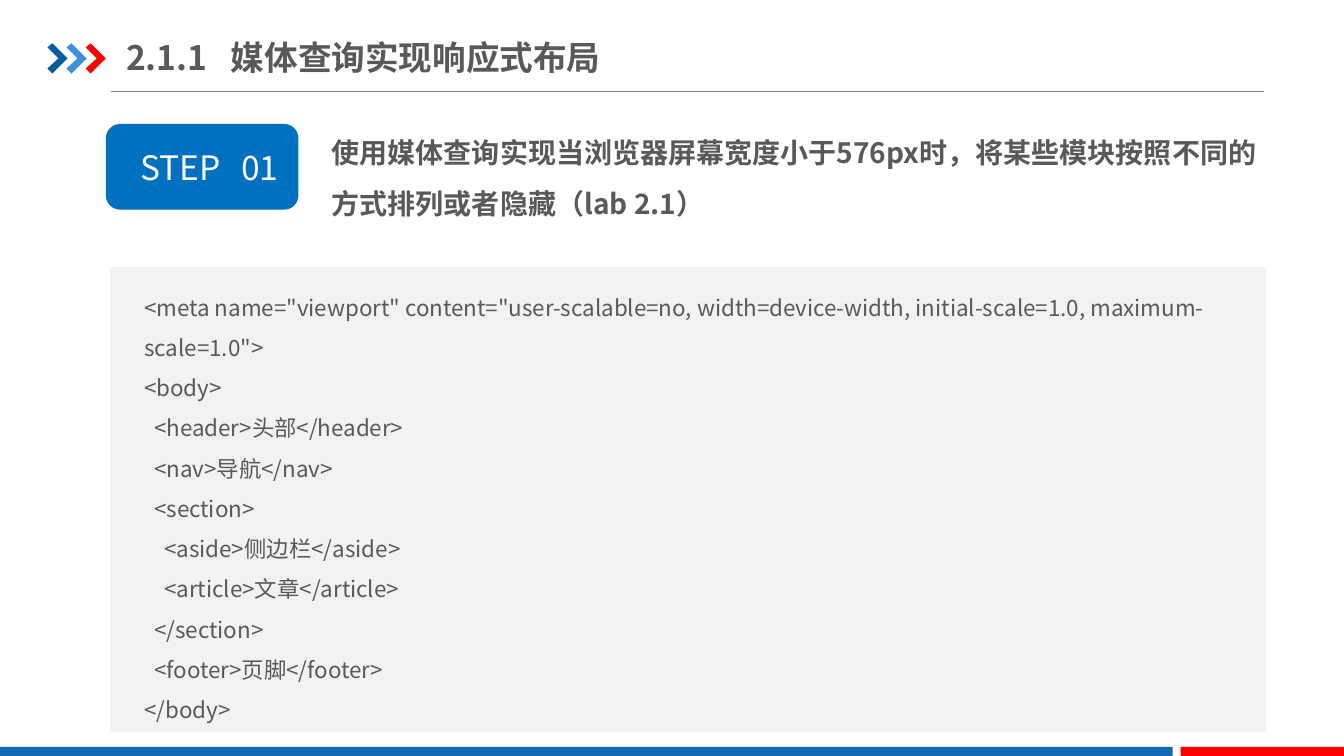
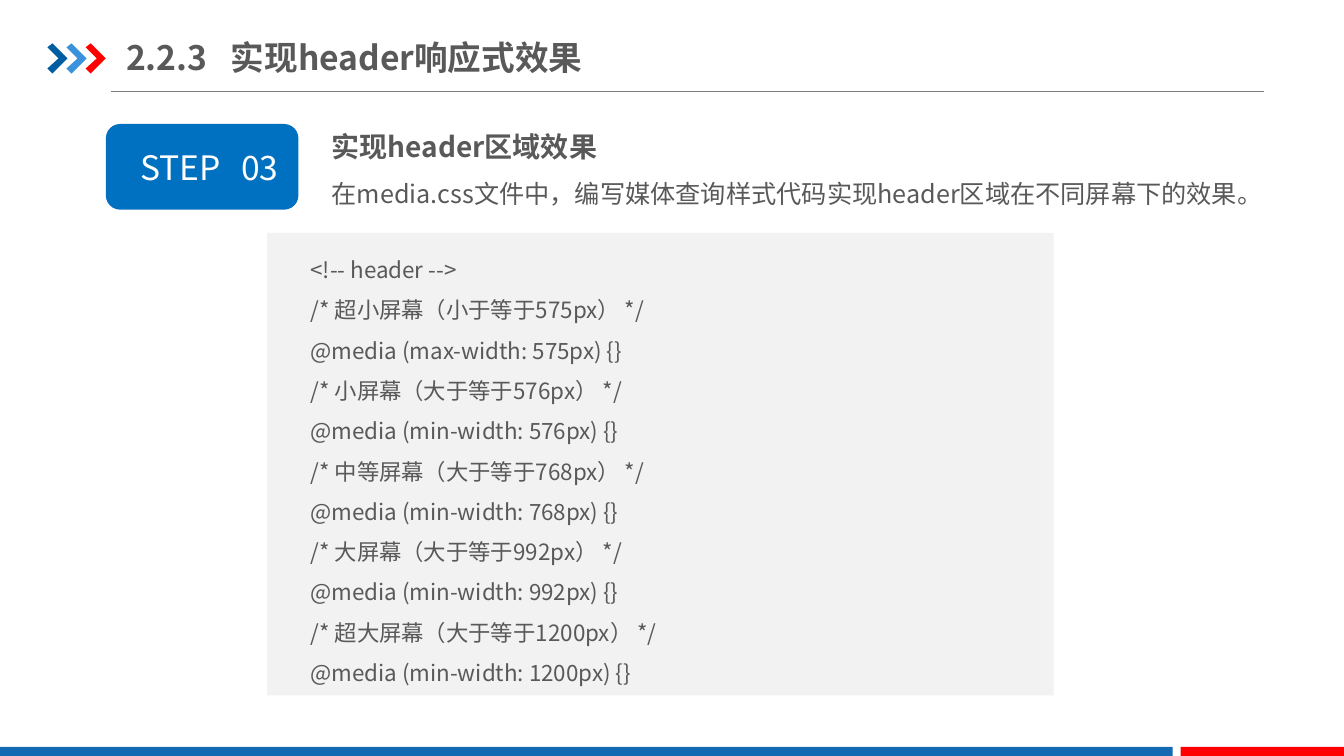
from lxml import etree
from pptx import Presentation
from pptx.dml.color import RGBColor
from pptx.enum import shapes, text
from pptx.oxml import ns
from pptx.util import Inches, Pt

FONT = "Noto Sans CJK SC"
GREY, WHITE, PANEL, STEP_BLUE = "595959", "FFFFFF", "F2F2F2", "0070C0"
RULE, BAND_BLUE, RED = "808080", "1369B2", "FF0000"
CHEVRONS = ["005DA2", "3992DB", RED]
CHEVRON_POINTS = [(0, 0.04), (0.05, 0), (0.2, 0.15), (0.05, 0.3), (0, 0.25), (0.11, 0.15)]

# Content: each intro line is (text, size, bold); boxes are left, top, width, height
SLIDES = [
    {
        "title": ("2.1.1", "媒体查询实现响应式布局"),
        "step": "01",
        "intro": [("使用媒体查询实现当浏览器屏幕宽度小于576px时，"
                   "将某些模块按照不同的方式排列或者隐藏（lab 2.1）", 20, True)],
        "intro_top": 1.13,
        "panel": (1.09, 2.65, 11.47, 4.61),
        "insets": (0.34, 0.13),
        "code": [
            '<meta name="viewport" content="user-scalable=no, width=device-width, '
            'initial-scale=1.0, maximum-scale=1.0">',
            "<body>",
            "  <header>头部</header>",
            "  <nav>导航</nav>",
            "  <section>",
            "    <aside>侧边栏</aside>",
            "    <article>文章</article>",
            "  </section>",
            "  <footer>页脚</footer>",
            "</body>",
        ],
    },
    {
        "title": ("2.2.3", "实现header响应式效果"),
        "step": "03",
        "intro": [("实现header区域效果", 20, True),
                  ("在media.css文件中，编写媒体查询样式代码实现header区域在不同屏幕下的效果。", 18, False)],
        "intro_top": 1.07,
        "panel": (2.65, 2.31, 7.8, 4.59),
        "insets": (0.43, 0.1),
        "code": [
            "<!-- header -->",
            "/* 超小屏幕（小于等于575px） */",
            "@media (max-width: 575px) {}",
            "/* 小屏幕（大于等于576px） */",
            "@media (min-width: 576px) {}",
            "/* 中等屏幕（大于等于768px） */",
            "@media (min-width: 768px) {}",
            "/* 大屏幕（大于等于992px） */",
            "@media (min-width: 992px) {}",
            "/* 超大屏幕（大于等于1200px） */",
            "@media (min-width: 1200px) {}",
        ],
    },
]


def color(value):
    return RGBColor.from_string(value)


def place(shape, left, top, width, height):
    shape.left, shape.top = Inches(left), Inches(top)
    shape.width, shape.height = Inches(width), Inches(height)


def paint(shape, fill):
    shape.shadow.inherit = False
    shape.fill.solid()
    shape.fill.fore_color.rgb = color(fill)
    shape.line.fill.background()
    return shape


def add_box(slide, kind, box, fill):
    return paint(slide.shapes.add_shape(kind, *map(Inches, box)), fill)


def set_frame(shape, anchor, left=0.1, top=0.05, right=0.1, bottom=0.05):
    frame = shape.text_frame
    frame.word_wrap = True
    frame.auto_size = text.MSO_AUTO_SIZE.NONE
    frame.vertical_anchor = anchor
    frame.margin_left, frame.margin_top = Inches(left), Inches(top)
    frame.margin_right, frame.margin_bottom = Inches(right), Inches(bottom)
    return frame


def add_run(paragraph, content, size, fill, bold=False):
    run = paragraph.add_run()
    run.text = content
    run.font.size, run.font.bold = Pt(size), bold
    run.font.color.rgb = color(fill)
    run.font.name = FONT
    properties = run.font._element
    etree.SubElement(properties, ns.qn("a:ea"), typeface=FONT)


def write_lines(frame, lines, fill=GREY):
    for index, (content, size, bold) in enumerate(lines):
        paragraph = frame.add_paragraph() if index else frame.paragraphs[0]
        properties = paragraph._p.get_or_add_pPr()
        properties.set("marL", "0")
        properties.set("indent", "0")
        etree.SubElement(properties, ns.qn("a:buNone"))
        paragraph.alignment = text.PP_ALIGN.LEFT
        paragraph.line_spacing = 1.5
        paragraph.space_before = Pt(0)
        add_run(paragraph, content, size, fill, bold)


def write_tabbed(frame, parts, tab, size, fill, bold=False):
    paragraph = frame.paragraphs[0]
    paragraph.alignment = text.PP_ALIGN.LEFT
    tabs = etree.SubElement(paragraph._p.get_or_add_pPr(), ns.qn("a:tabLst"))
    etree.SubElement(tabs, ns.qn("a:tab"), pos=str(Inches(tab)), algn="l")
    add_run(paragraph, "\t".join(parts), size, fill, bold)


def style_layout(slide, layout):
    """Draw the shared decoration and move it to the layout."""
    # Title rule
    rule = slide.shapes.add_connector(
        shapes.MSO_CONNECTOR.STRAIGHT, *map(Inches, (1.1, 0.91, 12.54, 0.91)))
    rule.line.color.rgb = color(RULE)
    rule.line.width = Pt(0.75)
    etree.SubElement(rule._element.spPr, ns.qn("a:effectLst"))
    parts = [rule]

    # Chevrons
    for index, fill in enumerate(CHEVRONS):
        points = [(Inches(0.47 + 0.19 * index + x), Inches(0.43 + y))
                  for x, y in CHEVRON_POINTS]
        builder = slide.shapes.build_freeform(*points[0])
        builder.add_line_segments(points[1:], close=True)
        parts.append(paint(builder.convert_to_shape(), fill))

    # Footer bands
    for left, width, fill in [(0, 11.63, BAND_BLUE), (11.71, 1.62, RED)]:
        parts.append(add_box(slide, shapes.MSO_SHAPE.RECTANGLE,
                             (left, 7.41, width, 0.09), fill))

    for part in parts:
        layout.shapes._spTree.append(part._element)


def fill_slide(slide, content):
    # Title
    title = slide.shapes.title
    place(title, 1.25, 0.29, 6.05, 0.55)
    frame = set_frame(title, text.MSO_ANCHOR.MIDDLE, 0, 0.07, 0, 0.07)
    write_tabbed(frame, content["title"], 1.04, 24, GREY, True)

    # Step badge
    badge = add_box(slide, shapes.MSO_SHAPE.ROUNDED_RECTANGLE,
                    (1.05, 1.23, 1.91, 0.85), STEP_BLUE)
    frame = set_frame(badge, text.MSO_ANCHOR.MIDDLE, left=0.3)
    write_tabbed(frame, ("STEP", content["step"]), 1, 24, WHITE)

    # Step description
    intro = slide.placeholders[1]
    place(intro, 3.19, content["intro_top"], 9.54, 1.05)
    write_lines(set_frame(intro, text.MSO_ANCHOR.TOP), content["intro"])

    # Code panel
    panel = add_box(slide, shapes.MSO_SHAPE.RECTANGLE, content["panel"], PANEL)
    left, top = content["insets"]
    frame = set_frame(panel, text.MSO_ANCHOR.TOP, left, top, 0, 0)
    write_lines(frame, [(line, 16, False) for line in content["code"]])


def main():
    presentation = Presentation()
    presentation.slide_width, presentation.slide_height = Inches(13.33), Inches(7.5)
    layout = presentation.slide_layouts[1]
    for index, content in enumerate(SLIDES):
        slide = presentation.slides.add_slide(layout)
        if index == 0:
            style_layout(slide, layout)
        fill_slide(slide, content)
    presentation.save("out.pptx")


if __name__ == "__main__":
    main()
